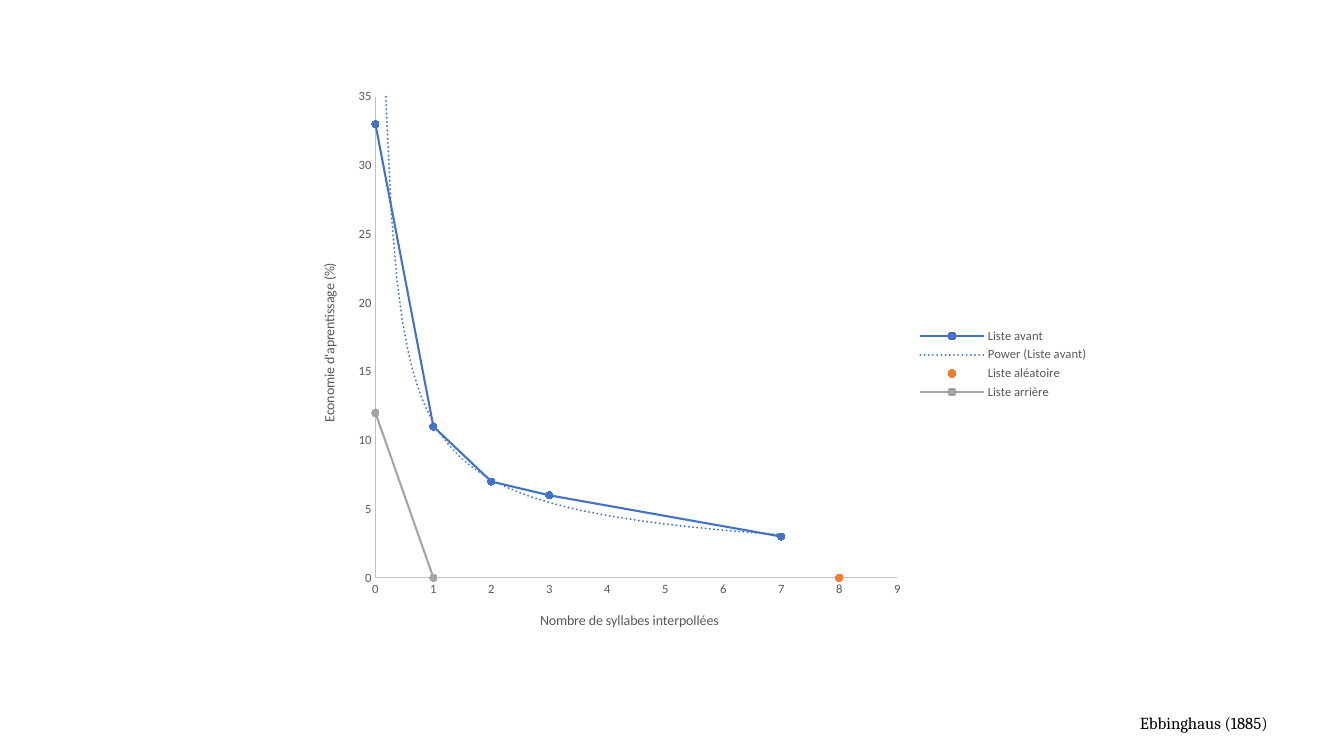
import pptx
import pptx.chart.data
import pptx.dml.color
import pptx.enum.chart
import pptx.enum.text
import pptx.oxml
import pptx.oxml.ns
import pptx.util

Pt = pptx.util.Pt
RGBColor = pptx.dml.color.RGBColor

BLACK = RGBColor(0x00, 0x00, 0x00)
GRAY = RGBColor(0x59, 0x59, 0x59)
AXIS_GRAY = RGBColor(0xBF, 0xBF, 0xBF)
BLUE = RGBColor(0x44, 0x72, 0xC4)
ORANGE = RGBColor(0xED, 0x7D, 0x31)
SILVER = RGBColor(0xA5, 0xA5, 0xA5)

CHART_WIDTH, CHART_HEIGHT = 571, 408.2

# Name, colour, whether the points are joined, points (syllables, saving in %)
LISTS = [
    ("Liste avant", BLUE, True, [(0, 33), (1, 11), (2, 7), (3, 6), (7, 3)]),
    ("Liste aléatoire", ORANGE, False, [(8, 0)]),
    ("Liste arrière", SILVER, True, [(0, 12), (1, 0)]),
]


def chart_xml(tag, content):
    return pptx.oxml.parse_xml(
        f'<c:{tag} {pptx.oxml.ns.nsdecls("c", "a")}>{content}</c:{tag}>')


def set_layout(element, index, target="", **lengths):
    """Place a chart part by lengths in points within the chart area."""
    for layout in element.findall(pptx.oxml.ns.qn("c:layout")):
        element.remove(layout)
    modes = "".join(f'<c:{side}Mode val="edge"/>' for side in "xy")
    whole = {"x": CHART_WIDTH, "w": CHART_WIDTH, "y": CHART_HEIGHT, "h": CHART_HEIGHT}
    places = "".join(f'<c:{key} val="{length / whole[key]}"/>'
                     for key, length in lengths.items())
    element.insert(index, chart_xml(
        "layout", f"<c:manualLayout>{target}{modes}{places}</c:manualLayout>"))


def format_font(font, size, color, name="Calibri"):
    font.size, font.name, font.bold = Pt(size), name, False
    font.color.rgb = color


def write_text(frame, text, **style):
    span = frame.paragraphs[0].add_run()
    span.text = text
    format_font(span.font, **style)


class SlideBuilder:
    def __init__(self, deck):
        self.slide = deck.slides.add_slide(deck.slide_layouts[6])
        self.label_style = {"size": 9, "color": GRAY}
        self.title_style = {"size": 10, "color": GRAY}
        self.caption_style = {"size": 12, "color": BLACK, "name": "Cambria"}

    def caption(self, text, left, top, width, height):
        box = self.slide.shapes.add_textbox(Pt(left), Pt(top), Pt(width), Pt(height))
        box.text_frame.word_wrap = False
        box.text_frame.auto_size = pptx.enum.text.MSO_AUTO_SIZE.SHAPE_TO_FIT_TEXT
        write_text(box.text_frame, text, **self.caption_style)

    def scatter(self, lists, left, top):
        data = pptx.chart.data.XyChartData()
        for name, _, _, points in lists:
            series = data.add_series(name)
            for x, y in points:
                series.add_data_point(x, y)
        chart = self.slide.shapes.add_chart(
            pptx.enum.chart.XL_CHART_TYPE.XY_SCATTER_LINES,
            Pt(left), Pt(top), Pt(CHART_WIDTH), Pt(CHART_HEIGHT), data).chart
        chart.has_title = False
        format_font(chart.font, 10, BLACK)
        plot = chart.plots[0]
        plot.vary_by_categories = False
        for series, (_, color, joined, _) in zip(plot.series, lists):
            self.series(series, color, joined)
        set_layout(chart._chartSpace.chart.plotArea, 0,
                   '<c:layoutTarget val="inner"/>', x=54.4, y=13.1, w=372.7, h=343.7)
        return chart

    def series(self, series, color, joined):
        series.smooth = False
        if joined:
            series.format.line.width = Pt(1.5)
            series.format.line.color.rgb = color
        else:
            series.format.line.fill.background()
        marker = series.marker
        marker.style = pptx.enum.chart.XL_MARKER_STYLE.CIRCLE
        marker.size = 5
        marker.format.fill.solid()
        marker.format.fill.fore_color.rgb = color
        marker.format.line.color.rgb = color

    def power_trend(self, series, color):
        trend = chart_xml("trendline", f"""<c:spPr><a:ln w="{Pt(1.5)}" cap="rnd">
            <a:solidFill><a:srgbClr val="{color}"/></a:solidFill>
            <a:prstDash val="sysDot"/></a:ln></c:spPr>
            <c:trendlineType val="power"/><c:dispRSqr val="0"/><c:dispEq val="0"/>""")
        series._element.find(pptx.oxml.ns.qn("c:xVal")).addprevious(trend)

    def axis(self, axis, title, maximum, step, x, y, rotation=0):
        axis.minimum_scale, axis.maximum_scale, axis.major_unit = 0, maximum, step
        axis.has_major_gridlines = False
        axis.major_tick_mark = axis.minor_tick_mark = pptx.enum.chart.XL_TICK_MARK.NONE
        axis.tick_labels.number_format = "General"
        axis.tick_labels.number_format_is_linked = False
        format_font(axis.tick_labels.font, **self.label_style)
        axis.format.line.width = Pt(0.75)
        axis.format.line.color.rgb = AXIS_GRAY
        frame = axis.axis_title.text_frame
        write_text(frame, title, **self.title_style)
        frame._txBody.bodyPr.set("rot", str(rotation * 60000))
        frame._txBody.bodyPr.set("vert", "horz")
        set_layout(axis.axis_title._element, 1, x=x, y=y)

    def legend(self, chart, hidden_entry):
        chart.has_legend = True
        legend = chart.legend
        legend.position = pptx.enum.chart.XL_LEGEND_POSITION.RIGHT
        legend.include_in_layout = False
        format_font(legend.font, **self.label_style)
        entry = chart_xml("legendEntry",
                          f'<c:idx val="{hidden_entry}"/><c:delete val="1"/>')
        legend._element.find(pptx.oxml.ns.qn("c:legendPos")).addnext(entry)


def main():
    deck = pptx.Presentation()
    deck.slide_width, deck.slide_height = Pt(960), Pt(540)
    builder = SlideBuilder(deck)
    builder.caption("Ebbinghaus (1885)", 807.1, 505.4, 107.3, 21.6)
    chart = builder.scatter(LISTS, 213.8, 56)
    builder.power_trend(chart.plots[0].series[0], BLUE)
    builder.axis(chart.category_axis, "Nombre de syllabes interpollées", 9, 1,
                 x=170.2, y=378.8)
    builder.axis(chart.value_axis, "Economie d'aprentissage (%)", 35, 5,
                 x=13, y=130, rotation=-90)
    builder.legend(chart, hidden_entry=len(LISTS))
    deck.save("out.pptx")


if __name__ == "__main__":
    main()
